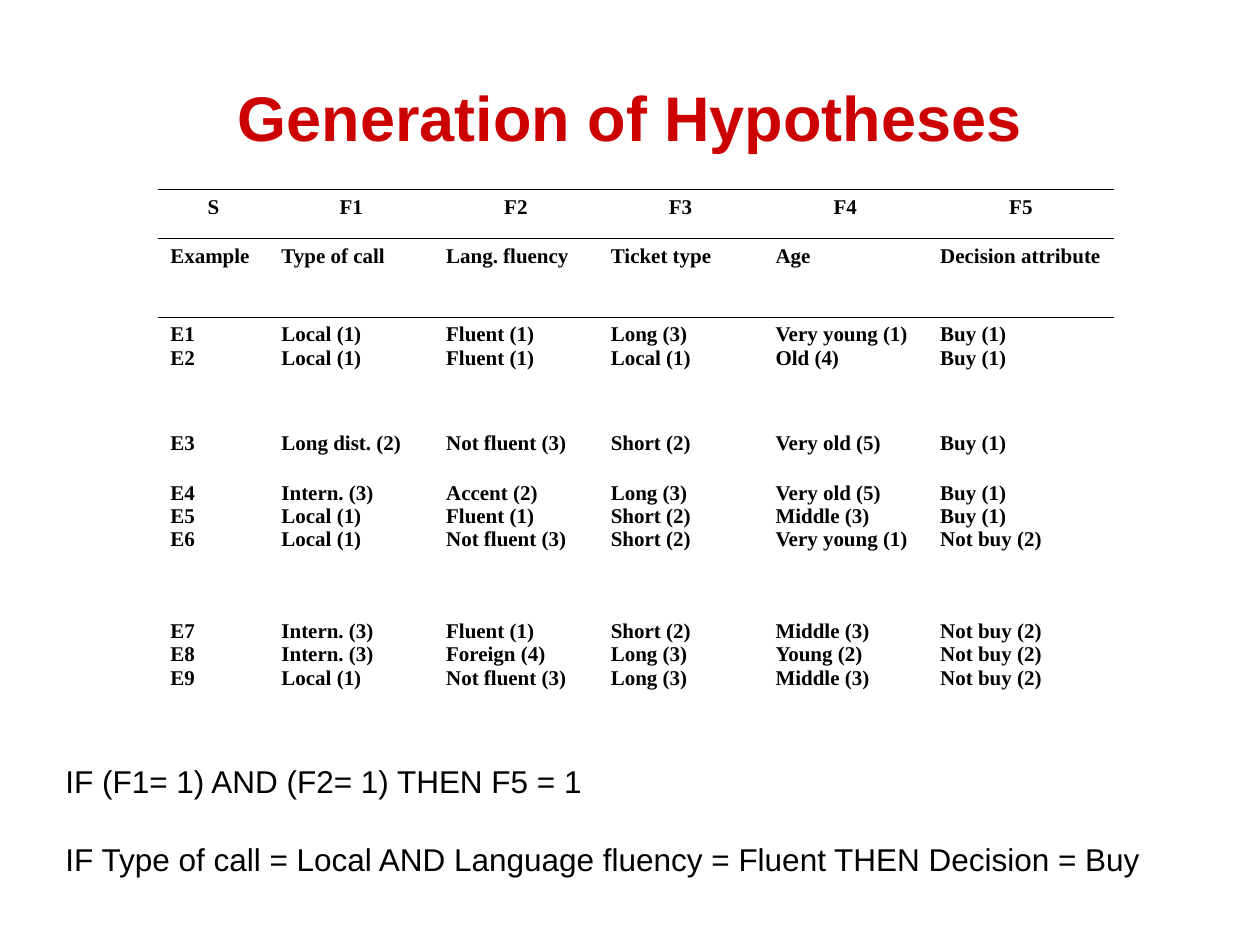
from lxml import etree
from pptx import Presentation, util as u
from pptx.dml.color import RGBColor
from pptx.enum import text
from pptx.oxml import ns

RED = RGBColor(0xCC, 0x00, 0x00)
BLACK = RGBColor(0x00, 0x00, 0x00)
NO_GRID_STYLE = "{2D5ABB26-0587-4C30-8999-92F81FD0307C}"
RULE_WIDTH = u.Pt(0.45)

TITLE_FONT = {"name": "Arial", "size": u.Pt(36), "bold": True}
TABLE_FONT = {"name": "Times New Roman", "size": u.Pt(12), "bold": True}
RULE_FONT = {"name": "Arial", "size": u.Pt(18), "bold": False}

COLUMN_WIDTHS = [2.24, 3.32, 3.32, 3.32, 3.32, 3.76]
ROW_HEIGHTS = [0.99, 1.59, 2.19, 1, 2.79, 2.21]
GROUPS = [
    [("S", "F1", "F2", "F3", "F4", "F5")],
    [("Example", "Type of call", "Lang. fluency", "Ticket type", "Age", "Decision attribute")],
    [
        ("E1", "Local (1)", "Fluent (1)", "Long (3)", "Very young (1)", "Buy (1)"),
        ("E2", "Local (1)", "Fluent (1)", "Local (1)", "Old (4)", "Buy (1)"),
    ],
    [("E3", "Long dist. (2)", "Not fluent (3)", "Short (2)", "Very old (5)", "Buy (1)")],
    [
        ("E4", "Intern. (3)", "Accent (2)", "Long (3)", "Very old (5)", "Buy (1)"),
        ("E5", "Local (1)", "Fluent (1)", "Short (2)", "Middle (3)", "Buy (1)"),
        ("E6", "Local (1)", "Not fluent (3)", "Short (2)", "Very young (1)", "Not buy (2)"),
    ],
    [
        ("E7", "Intern. (3)", "Fluent (1)", "Short (2)", "Middle (3)", "Not buy (2)"),
        ("E8", "Intern. (3)", "Foreign (4)", "Long (3)", "Young (2)", "Not buy (2)"),
        ("E9", "Local (1)", "Not fluent (3)", "Long (3)", "Middle (3)", "Not buy (2)"),
    ],
]
RULES = [
    "IF (F1= 1) AND (F2= 1) THEN F5 = 1",
    "IF Type of call = Local AND Language fluency = Fluent THEN Decision = Buy",
]


def write_lines(frame, lines, font, color, align=text.PP_ALIGN.LEFT, gap=0):
    """Write one formatted paragraph per line, with a gap between them."""
    for index, line in enumerate(lines):
        para = frame.paragraphs[0] if index == 0 else frame.add_paragraph()
        para.alignment = align
        if index and gap:
            para.space_before = u.Pt(gap)
        span = para.add_run()
        span.text = line
        for name, value in font.items():
            setattr(span.font, name, value)
        span.font.color.rgb = color


def add_text(page, box, lines, font, color, anchor, **layout):
    """Place a wrapped text box."""
    frame = page.shapes.add_textbox(*map(u.Cm, box)).text_frame
    frame.word_wrap = True
    frame.vertical_anchor = anchor
    write_lines(frame, lines, font, color, **layout)


def draw_border(cell, side):
    """Draw a thin black line on one side of a cell."""
    properties = cell._tc.get_or_add_tcPr()
    line = etree.SubElement(properties, ns.qn(f"a:{side}"), w=str(RULE_WIDTH))
    fill = etree.SubElement(line, ns.qn("a:solidFill"))
    etree.SubElement(fill, ns.qn("a:srgbClr"), val=str(BLACK))


def add_examples(page, left, top):
    """Place the table of examples, with one row per group."""
    size = (sum(COLUMN_WIDTHS), sum(ROW_HEIGHTS))
    table = page.shapes.add_table(
        len(GROUPS), len(COLUMN_WIDTHS), *map(u.Cm, (left, top, *size))
    ).table
    table.first_row = table.horz_banding = False
    table._tbl.tblPr.find(ns.qn("a:tableStyleId")).text = NO_GRID_STYLE
    for column, width in zip(table.columns, COLUMN_WIDTHS):
        column.width = u.Cm(width)
    for row, height in zip(table.rows, ROW_HEIGHTS):
        row.height = u.Cm(height)
    borders = {0: ("lnT", "lnB"), 1: ("lnT",)}
    for row_index, group in enumerate(GROUPS):
        align = text.PP_ALIGN.LEFT if row_index else text.PP_ALIGN.CENTER
        for column_index, lines in enumerate(zip(*group)):
            cell = table.cell(row_index, column_index)
            for side in borders.get(row_index, ()):
                draw_border(cell, side)
            cell.fill.background()
            write_lines(cell.text_frame, lines, TABLE_FONT, BLACK, align)


def main():
    """Build and save the slide."""
    deck = Presentation()
    deck.slide_width, deck.slide_height = u.Cm(25.4), u.Cm(19.05)
    page = deck.slides.add_slide(deck.slide_layouts[6])
    add_text(page, (1.27, 0.76, 22.86, 3.18), ["Generation of Hypotheses"], TITLE_FONT, RED,
             text.MSO_ANCHOR.MIDDLE, align=text.PP_ALIGN.CENTER)
    add_examples(page, 3.18, 3.81)
    add_text(page, (1.07, 15.24, 23.27, 2.54), RULES, RULE_FONT, BLACK,
             text.MSO_ANCHOR.TOP, gap=23)
    deck.save("out.pptx")


if __name__ == "__main__":
    main()
